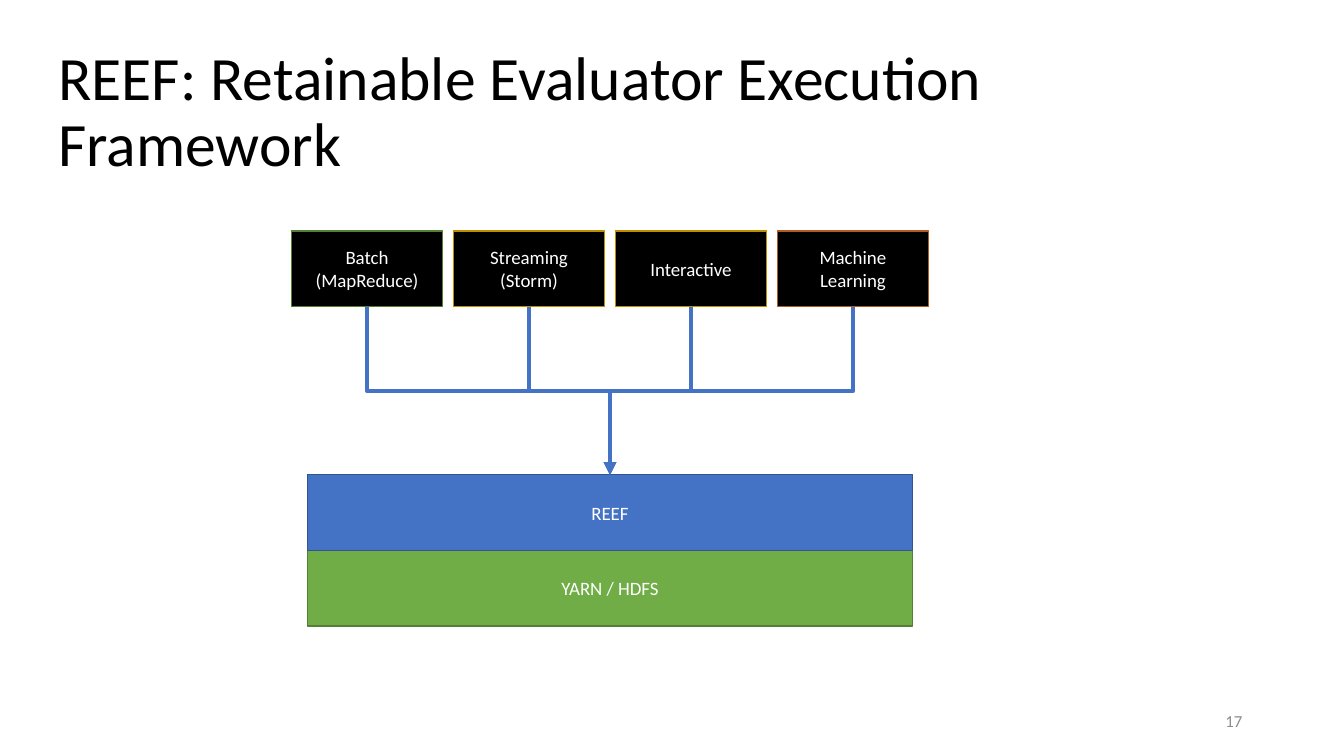
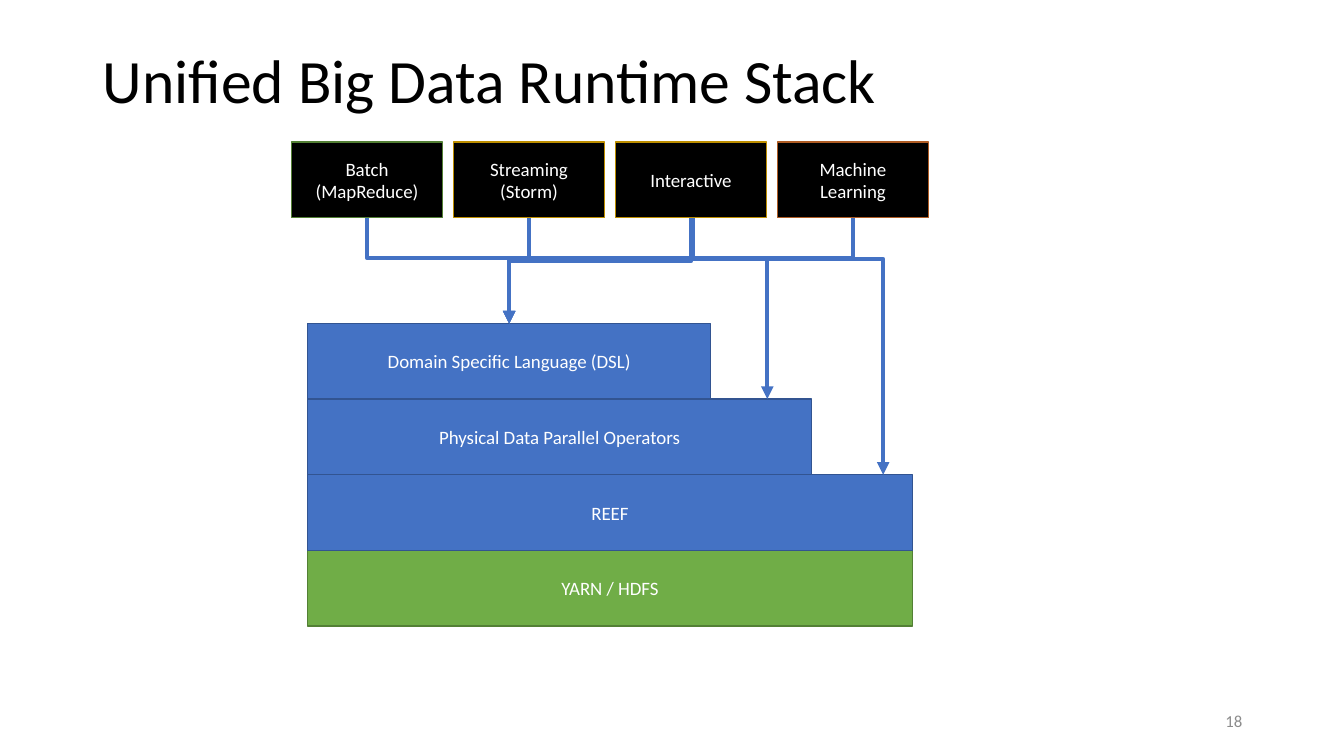
from lxml import etree
from pptx import Presentation
from pptx.dml.color import RGBColor
from pptx.enum import shapes, text
from pptx.oxml.ns import qn
from pptx.util import Inches, Pt

COLORS = {
    "title": "000000", "number": "8C8C8C", "label": "FFFFFF", "app": "000000",
    "blue": "4472C4", "dark_blue": "325491", "green": "70AD47",
    "dark_green": "538035", "gold": "BD8E00", "brown": "AF5C24",
}
FONT = "Calibri"
BOX_H = 0.75

# Application boxes, left to right
APPS = [
    ("Batch\n(MapReduce)", "dark_green"),
    ("Streaming\n(Storm)", "gold"),
    ("Interactive", "gold"),
    ("Machine\nLearning", "brown"),
]
APP_W = 1.5
APP_LEFT, APP_LAST_LEFT = 2.89, 7.71
APP_PITCH = (APP_LAST_LEFT - APP_LEFT) / (len(APPS) - 1)
APP_X = [APP_LEFT + i * APP_PITCH for i in range(len(APPS))]
BATCH, STREAM, INTERACT, LEARN = [x + APP_W / 2 for x in APP_X]

# Stack layers, bottom to top: label, width, fill, line
LAYERS = [
    ("YARN / HDFS", 6, "green", "dark_green"),
    ("REEF", 6, "blue", "dark_blue"),
    ("Physical Data Parallel Operators", 5, "blue", "dark_blue"),
    ("Domain Specific Language (DSL)", 4, "blue", "dark_blue"),
]
STACK_LEFT, STACK_BOTTOM = 3.05, 6.21
LAYER_TOP = [STACK_BOTTOM - BOX_H * (i + 1) for i in range(len(LAYERS))]
REEF_TOP, OPERATORS_TOP, DSL_TOP = LAYER_TOP[1:]
REEF_X, DSL_X = STACK_LEFT + 3, STACK_LEFT + 2

# Each arrow: start x, bend y, end x, end y
SLIDES = [
    {
        "title": "REEF: Retainable Evaluator Execution Framework",
        "title_box": (0.48, 0.4, 11.93, 1.45),
        "number": 17, "layers": 2, "app_top": 2.29,
        "arrows": [(x, 3.88, REEF_X, REEF_TOP)
                   for x in (BATCH, STREAM, INTERACT, LEARN)],
    },
    {
        "title": "Unified Big Data Runtime Stack",
        "title_box": (0.92, 0.1, 11.5, 1.45),
        "number": 18, "layers": 4, "app_top": 1.41,
        "arrows": [
            (INTERACT, 2.59, DSL_X, DSL_TOP),
            (BATCH, 2.56, DSL_X, DSL_TOP),
            (STREAM, 2.56, DSL_X, DSL_TOP),
            (INTERACT + 0.02, 2.57, 7.61, OPERATORS_TOP),
            (LEARN, 2.56, DSL_X, DSL_TOP),
            (INTERACT + 0.02, 2.57, 8.76, REEF_TOP),
        ],
    },
]


def add_block(s, label, box, size, color, align, fill=None, line=None):
    """Add a filled rectangle, or a plain text box when no fill is given."""
    place = [Inches(v) for v in box]
    if fill:
        sp = s.shapes.add_shape(shapes.MSO_SHAPE.RECTANGLE, *place)
        sp.shadow.inherit = False
        sp.fill.solid()
        sp.fill.fore_color.rgb = RGBColor.from_string(COLORS[fill])
        sp.line.color.rgb = RGBColor.from_string(COLORS[line])
        sp.line.width = Pt(1)
    else:
        sp = s.shapes.add_textbox(*place)
    tf = sp.text_frame
    tf.word_wrap = True
    tf.vertical_anchor = text.MSO_ANCHOR.MIDDLE
    tf.text = label
    for p in tf.paragraphs:
        p.alignment = align
        for r in p.runs:
            r.font.name = FONT
            r.font.size = Pt(size)
            r.font.color.rgb = RGBColor.from_string(COLORS[color])
    return sp


def add_down_arrow(s, x1, y1, bend_y, x2, y2):
    """Add an elbow arrow that goes down, across at bend_y, and down again.

    The preset starts sideways, so its frame is turned a quarter about its centre.
    """
    drop, shift = y2 - y1, abs(x2 - x1)
    left, top = (x1 + x2 - drop) / 2, (y1 + y2 - shift) / 2
    cxn = s.shapes.add_connector(
        shapes.MSO_CONNECTOR.ELBOW, Inches(left), Inches(top),
        Inches(left + drop), Inches(top + shift))
    cxn.line.color.rgb = RGBColor.from_string(COLORS["blue"])
    cxn.line.width = Pt(3)
    spPr = cxn._element.spPr
    xfrm = spPr.find(qn("a:xfrm"))
    if x2 > x1:
        xfrm.set("rot", "16200000")
        xfrm.set("flipH", "1")
    else:
        xfrm.set("rot", "5400000")
    adjust = etree.SubElement(spPr.find(qn("a:prstGeom")).find(qn("a:avLst")), qn("a:gd"))
    adjust.set("name", "adj1")
    adjust.set("fmla", f"val {round((bend_y - y1) / drop * 100000)}")
    etree.SubElement(spPr.find(qn("a:ln")), qn("a:tailEnd")).set("type", "triangle")
    etree.SubElement(spPr, qn("a:effectLst"))


prs = Presentation()
prs.slide_width, prs.slide_height = Inches(13.33), Inches(7.5)
LEFT, CENTER, RIGHT = text.PP_ALIGN.LEFT, text.PP_ALIGN.CENTER, text.PP_ALIGN.RIGHT

for page in SLIDES:
    s = prs.slides.add_slide(prs.slide_layouts[6])
    title = add_block(s, page["title"], page["title_box"], 44, "title", LEFT)
    title.text_frame.paragraphs[0].line_spacing = 0.9
    add_block(s, str(page["number"]), (9.42, 6.95, 3, 0.4), 12, "number", RIGHT)

    for (label, width, fill, line), top in zip(LAYERS[:page["layers"]], LAYER_TOP):
        add_block(s, label, (STACK_LEFT, top, width, BOX_H), 13.5, "label", CENTER, fill, line)

    app_top = page["app_top"]
    for x1, bend_y, x2, y2 in page["arrows"]:
        add_down_arrow(s, x1, app_top + BOX_H, bend_y, x2, y2)

    for (label, line), x in zip(APPS, APP_X):
        add_block(s, label, (x, app_top, APP_W, BOX_H), 13.5, "label", CENTER, "app", line)

prs.save("out.pptx")
